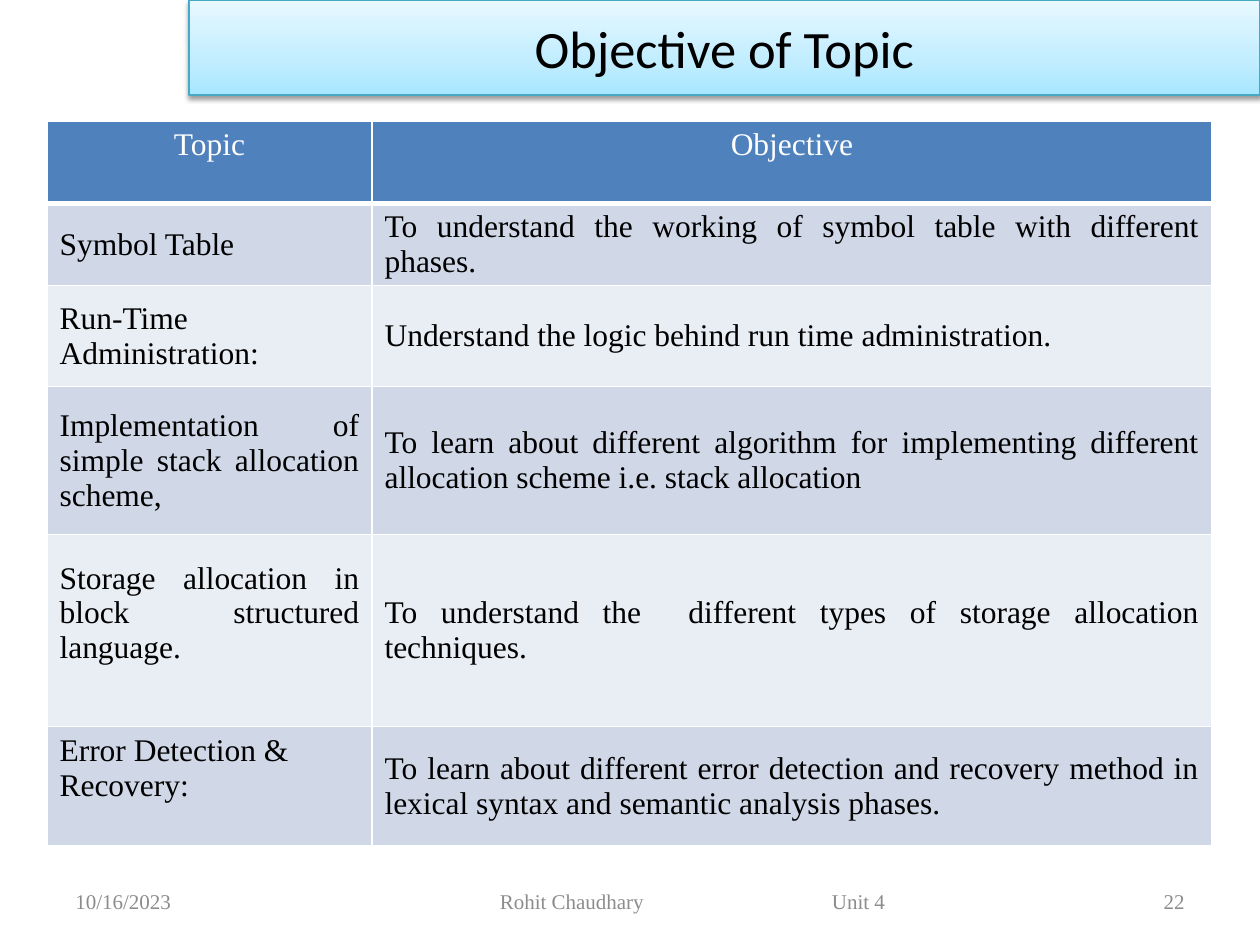
from copy import deepcopy

from pptx import Presentation
from pptx.dml.color import RGBColor
from pptx.enum.shapes import MSO_SHAPE
from pptx.enum.text import MSO_ANCHOR, PP_ALIGN
from pptx.oxml import parse_xml
from pptx.oxml.ns import nsdecls, qn
from pptx.util import Emu, Pt

SERIF = "Times New Roman"
LEFT, CENTER, RIGHT, JUSTIFY = PP_ALIGN.LEFT, PP_ALIGN.CENTER, PP_ALIGN.RIGHT, PP_ALIGN.JUSTIFY
COLUMN_WIDTHS = [325, 840]
ROW_HEIGHTS = [82, 82, 101, 148, 192, 119]
ROWS = [
    ("Topic", "Objective"),
    ("Symbol Table", "To understand the working of symbol table with different phases."),
    ("Run-Time Administration:", "Understand the logic behind run time administration."),
    ("Implementation of simple stack allocation scheme,",
     "To learn about different algorithm for implementing different allocation scheme i.e. stack allocation"),
    ("Storage allocation in block structured language.",
     "To understand the  different types of storage allocation techniques."),
    ("Error Detection & Recovery:",
     "To learn about different error detection and recovery method in lexical syntax and semantic analysis phases."),
]
TOPIC_ALIGNMENTS = [CENTER, LEFT, JUSTIFY, JUSTIFY, JUSTIFY, LEFT]
RAISED_CELLS = {(0, 0), (0, 1), (4, 0), (5, 0)}


def px(length):
    return Emu(round(length * 914400 / 126))


def color(value):
    return RGBColor.from_string(value)


def write(frame, text, size, font, ink, alignment):
    frame.word_wrap = True
    frame.text = text
    para = frame.paragraphs[0]
    para.alignment = alignment
    for span in para.runs:
        span.font.size = Pt(size)
        span.font.name = font
        span.font.color.rgb = color(ink)
    return para


def add_banner(page, left, top, width, height):
    banner = page.shapes.add_shape(MSO_SHAPE.RECTANGLE, px(left), px(top), px(width), px(height))
    banner.fill.gradient()
    banner.fill.gradient_angle = 90
    stop_list = banner.element.spPr.find(".//" + qn("a:gsLst"))
    stop_list.insert(1, deepcopy(stop_list[0]))
    stops = [(0, "A7E6FF"), (0.35, "C1EDFF"), (1, "E7F8FF")]
    for stop, (position, shade) in zip(banner.fill.gradient_stops, stops):
        stop.position = position
        stop.color.rgb = color(shade)
    banner.line.color.rgb = color("46AAC5")
    banner.line.width = Pt(0.75)
    banner.shadow.inherit = False
    banner.element.spPr.find(qn("a:effectLst")).append(parse_xml(
        f'<a:outerShdw {nsdecls("a")} blurRad="{Pt(3.1)}" dist="{Pt(1.6)}" dir="5400000" rotWithShape="0">'
        '<a:srgbClr val="000000"><a:alpha val="38000"/></a:srgbClr></a:outerShdw>'))
    banner.text_frame.vertical_anchor = MSO_ANCHOR.MIDDLE
    write(banner.text_frame, "Objective of Topic", 30, "Calibri", "000000", CENTER)


def add_borders(cell, bottom_width):
    properties = cell._tc.get_or_add_tcPr()
    widths = {"lnL": 1, "lnR": 1, "lnT": 1, "lnB": bottom_width}
    for index, (side, width) in enumerate(widths.items()):
        properties.insert(index, parse_xml(
            f'<a:{side} {nsdecls("a")} w="{Pt(width)}"><a:solidFill><a:srgbClr val="FFFFFF"/>'
            f'</a:solidFill></a:{side}>'))


def add_objectives(page, left, top, width, height):
    frame = page.shapes.add_table(len(ROWS), 2, px(left), px(top), px(width), px(height))
    table = frame.table
    for column, column_width in zip(table.columns, COLUMN_WIDTHS):
        column.width = px(column_width)
    for row, row_height in zip(table.rows, ROW_HEIGHTS):
        row.height = px(row_height)
    for row_index, texts in enumerate(ROWS):
        header = row_index == 0
        band = "4F81BD" if header else ("E9EDF4", "D0D8E8")[row_index % 2]
        alignments = (TOPIC_ALIGNMENTS[row_index], CENTER if header else JUSTIFY)
        for column_index, text in enumerate(texts):
            cell = table.cell(row_index, column_index)
            cell.fill.solid()
            cell.fill.fore_color.rgb = color(band)
            cell.vertical_anchor = MSO_ANCHOR.MIDDLE
            if (row_index, column_index) in RAISED_CELLS:
                cell.margin_bottom = px(41)
            write(cell.text_frame, text, 18, SERIF, "FFFFFF" if header else "000000",
                  alignments[column_index])
            add_borders(cell, 3 if header else 1)


def add_footer_text(page, left, top, width, height, text, alignment):
    box = page.shapes.add_textbox(px(left), px(top), px(width), px(height))
    box.text_frame.vertical_anchor = MSO_ANCHOR.MIDDLE
    para = write(box.text_frame, text, 12, SERIF, "8C8C8C", alignment)
    return box, para


def add_footer(page, left, top, width, height):
    add_footer_text(page, left, top, 294, height, "10/16/2023", LEFT)
    add_footer_text(page, left + width - 294, top, 294, height, "22", RIGHT)
    box, para = add_footer_text(page, left + 284, top, 693, height, "Rohit Chaudhary\tUnit 4", LEFT)
    box.text_frame.margin_left = px(153)
    para._p.get_or_add_pPr().append(parse_xml(
        f'<a:tabLst {nsdecls("a")}><a:tab pos="{px(332)}" algn="l"/></a:tabLst>'))


def main():
    deck = Presentation()
    deck.slide_width, deck.slide_height = px(1260), px(945)
    page = deck.slides.add_slide(deck.slide_layouts[6])
    add_banner(page, 189, 0, 1071, 95)
    add_objectives(page, 47, 121, sum(COLUMN_WIDTHS), sum(ROW_HEIGHTS))
    add_footer(page, 63, 876, 1134, 50)
    deck.save("out.pptx")


if __name__ == "__main__":
    main()
